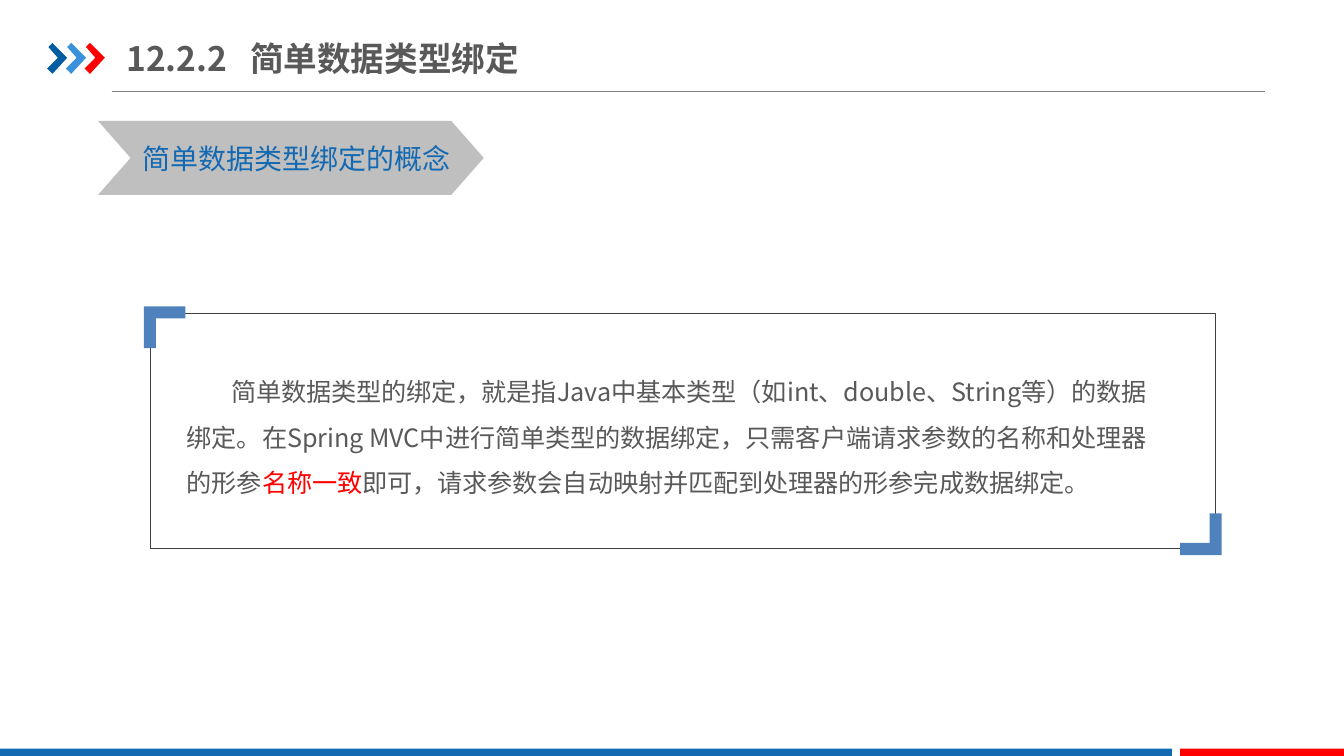
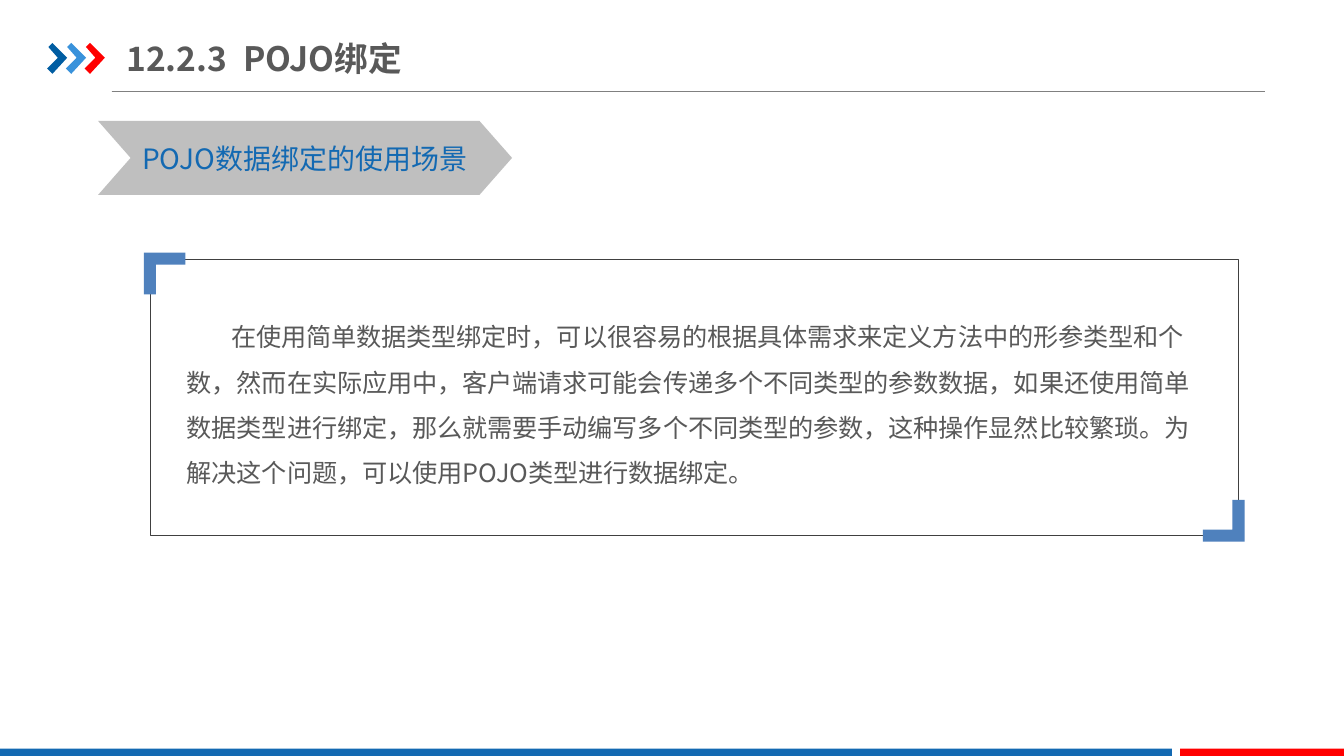
"""Build two lecture slides on simple type binding and POJO binding."""
from dataclasses import dataclass

from lxml.etree import SubElement
from pptx import Presentation
from pptx.dml.color import RGBColor
from pptx.enum.shapes import MSO_CONNECTOR, MSO_SHAPE
from pptx.enum.text import MSO_ANCHOR, MSO_AUTO_SIZE, PP_ALIGN
from pptx.oxml.ns import qn
from pptx.util import Inches, Pt

FONT = "Noto Sans CJK SC"
BLUE = RGBColor(0x13, 0x69, 0xB2)
RED = RGBColor(0xFF, 0x00, 0x00)
DARK_BLUE = RGBColor(0x00, 0x5D, 0xA2)
LIGHT_BLUE = RGBColor(0x39, 0x92, 0xDB)
CORNER_BLUE = RGBColor(0x4F, 0x81, 0xBD)
TEXT_GRAY = RGBColor(0x59, 0x59, 0x59)
RULE_GRAY = RGBColor(0x80, 0x80, 0x80)
TAG_GRAY = RGBColor(0xBF, 0xBF, 0xBF)
FRAME_GRAY = RGBColor(0x40, 0x40, 0x40)

MARK = [(0.01, 0.03), (0.04, 0), (0.15, 0.11), (0.04, 0.23), (0, 0.19), (0.08, 0.11)]
MARK_STEP = 0.14
CORNER = [(0, 0), (0.31, 0), (0.31, 0.09), (0.09, 0.09), (0.09, 0.31), (0, 0.31)]
CORNER_OVERHANG = 0.05
FIRST_LINE_INDENT = 0.33


@dataclass(frozen=True)
class Area:
    """A rectangle in inches."""

    left: float
    top: float
    width: float
    height: float

    def lengths(self) -> list[Inches]:
        """Return the four measures as lengths."""
        return [Inches(n) for n in (self.left, self.top, self.width, self.height)]


@dataclass(frozen=True)
class Span:
    """A piece of body text with its colour."""

    text: str
    color: RGBColor = TEXT_GRAY


@dataclass(frozen=True)
class Topic:
    """The content and measures of one slide."""

    title: str
    title_width: float
    title_tab: float
    tag: str
    tag_width: float
    chevron_width: float
    frame: Area
    body_area: Area
    body: tuple[Span, ...]


TOPICS = [
    Topic(
        "12.2.2\t简单数据类型绑定", 3.31, 0.92,
        "简单数据类型绑定的概念", 2.57, 2.87,
        Area(1.12, 2.33, 7.92, 1.75), Area(1.32, 2.65, 7.45, 1.18),
        (
            Span("简单数据类型的绑定，就是指Java中基本类型（如int、double、String等）的"
                 "数据绑定。在Spring MVC中进行简单类型的数据绑定，只需客户端请求参数的名称和"
                 "处理器的形参"),
            Span("名称一致", RED),
            Span("即可，请求参数会自动映射并匹配到处理器的形参完成数据绑定。"),
        ),
    ),
    Topic(
        "12.2.3\tPOJO绑定", 2.28, 0.87,
        "POJO数据绑定的使用场景", 2.71, 3.08,
        Area(1.12, 1.93, 8.09, 2.05), Area(1.32, 2.24, 7.7, 1.51),
        (
            Span("在使用简单数据类型绑定时，可以很容易的根据具体需求来定义方法中的形参类型和个"
                 "数，然而在实际应用中，客户端请求可能会传递多个不同类型的参数数据，如果还使用简单"
                 "数据类型进行绑定，那么就需要手动编写多个不同类型的参数，这种操作显然比较繁琐。为"
                 "解决这个问题，可以使用POJO类型进行数据绑定。"),
        ),
    ),
]


def format_run(run, size: float, color: RGBColor, bold: bool = False) -> None:
    """Set size, colour and both Latin and East Asian fonts."""
    run.font.size = Pt(size)
    run.font.bold = bold
    run.font.color.rgb = color
    run.font.name = FONT
    SubElement(run.font._element, qn("a:ea")).set("typeface", FONT)


def set_insets(text_frame, horizontal: float, vertical: float) -> None:
    """Set equal side insets and equal top and bottom insets."""
    text_frame.margin_left = text_frame.margin_right = Inches(horizontal)
    text_frame.margin_top = text_frame.margin_bottom = Inches(vertical)


def paint(shape, color: RGBColor) -> None:
    """Give a shape a flat fill without outline or shadow."""
    shape.shadow.inherit = False
    shape.fill.solid()
    shape.fill.fore_color.rgb = color
    shape.line.fill.background()


def add_block(slide, kind: MSO_SHAPE, area: Area, color: RGBColor):
    """Add a flat preset shape."""
    block = slide.shapes.add_shape(kind, *area.lengths())
    paint(block, color)
    return block


def add_outline(slide, points, left: float, top: float, color: RGBColor):
    """Add a filled polygon placed at left and top."""
    first, *rest = [(Inches(left + x), Inches(top + y)) for x, y in points]
    builder = slide.shapes.build_freeform(*first)
    builder.add_line_segments(rest, close=True)
    outline = builder.convert_to_shape()
    paint(outline, color)
    return outline


def add_rule(slide, right: float) -> None:
    """Draw a thin line below the title as far as right."""
    rule = slide.shapes.add_connector(
        MSO_CONNECTOR.STRAIGHT, Inches(0.83), Inches(0.68), Inches(right), Inches(0.68))
    rule.line.color.rgb = RULE_GRAY
    rule.line.width = Pt(0.75)
    SubElement(rule._element.spPr, qn("a:effectLst"))


def add_master_parts(slide) -> None:
    """Draw the rules, the arrow marks and the footer bands."""
    for right in (9.12, 9.41):
        add_rule(slide, right)
    for index, color in enumerate((DARK_BLUE, LIGHT_BLUE, RED)):
        add_outline(slide, MARK, 0.35 + index * MARK_STEP, 0.32, color)
    add_block(slide, MSO_SHAPE.RECTANGLE, Area(0, 5.57, 8.72, 0.07), BLUE)
    add_block(slide, MSO_SHAPE.RECTANGLE, Area(8.78, 5.57, 1.22, 0.07), RED)


def add_title(slide, topic: Topic) -> None:
    """Place and format the title placeholder."""
    title = slide.shapes.title
    title.left, title.top, title.width, title.height = Area(
        0.94, 0.22, topic.title_width, 0.42).lengths()
    frame = title.text_frame
    frame.text = topic.title
    frame.word_wrap = True
    frame.auto_size = MSO_AUTO_SIZE.NONE
    frame.vertical_anchor = MSO_ANCHOR.MIDDLE
    set_insets(frame, 0, 0.05)
    para = frame.paragraphs[0]
    para.alignment = PP_ALIGN.LEFT
    tabs = SubElement(para._p.get_or_add_pPr(), qn("a:tabLst"))
    SubElement(tabs, qn("a:tab"), pos=str(Inches(topic.title_tab)), algn="l")
    for run in para.runs:
        format_run(run, 18, TEXT_GRAY, bold=True)


def add_tag(slide, topic: Topic) -> None:
    """Draw the chevron and its heading."""
    chevron = add_block(
        slide, MSO_SHAPE.CHEVRON, Area(0.73, 0.9, topic.chevron_width, 0.55), TAG_GRAY)
    chevron.adjustments[0] = 0.44
    box = slide.shapes.add_textbox(*Area(0.96, 1, topic.tag_width, 0.35).lengths())
    box.text_frame.text = topic.tag
    box.text_frame.word_wrap = True
    box.text_frame.auto_size = MSO_AUTO_SIZE.SHAPE_TO_FIT_TEXT
    format_run(box.text_frame.paragraphs[0].runs[0], 15, BLUE)


def add_body(slide, topic: Topic) -> None:
    """Write the indented body paragraph."""
    box = slide.shapes.add_textbox(*topic.body_area.lengths())
    box.text_frame.word_wrap = True
    set_insets(box.text_frame, 0.07, 0.04)
    para = box.text_frame.paragraphs[0]
    para.line_spacing = 1.5
    para._p.get_or_add_pPr().set("indent", str(Inches(FIRST_LINE_INDENT)))
    for span in topic.body:
        run = para.add_run()
        run.text = span.text
        format_run(run, 13.5, span.color)


def add_frame(slide, area: Area) -> None:
    """Draw the thin frame with its two corner brackets."""
    frame = slide.shapes.add_shape(MSO_SHAPE.ROUNDED_RECTANGLE, *area.lengths())
    frame.adjustments[0] = 0
    frame.shadow.inherit = False
    frame.fill.background()
    frame.line.color.rgb = FRAME_GRAY
    frame.line.width = Pt(0.25)
    add_outline(slide, CORNER, area.left - CORNER_OVERHANG,
                area.top - CORNER_OVERHANG, CORNER_BLUE)
    shift = CORNER_OVERHANG - 0.31
    bracket = add_outline(slide, CORNER, area.left + area.width + shift,
                          area.top + area.height + shift, CORNER_BLUE)
    bracket.rotation = 180


def build_slide(deck, topic: Topic) -> None:
    """Build one slide from its topic."""
    slide = deck.slides.add_slide(deck.slide_layouts.get_by_name("Title Only"))
    add_master_parts(slide)
    add_tag(slide, topic)
    add_title(slide, topic)
    add_body(slide, topic)
    add_frame(slide, topic.frame)


def main() -> None:
    """Create and save the deck."""
    deck = Presentation()
    deck.slide_width = Inches(10)
    deck.slide_height = Inches(10 * 9 / 16)
    for topic in TOPICS:
        build_slide(deck, topic)
    deck.save("out.pptx")


if __name__ == "__main__":
    main()
